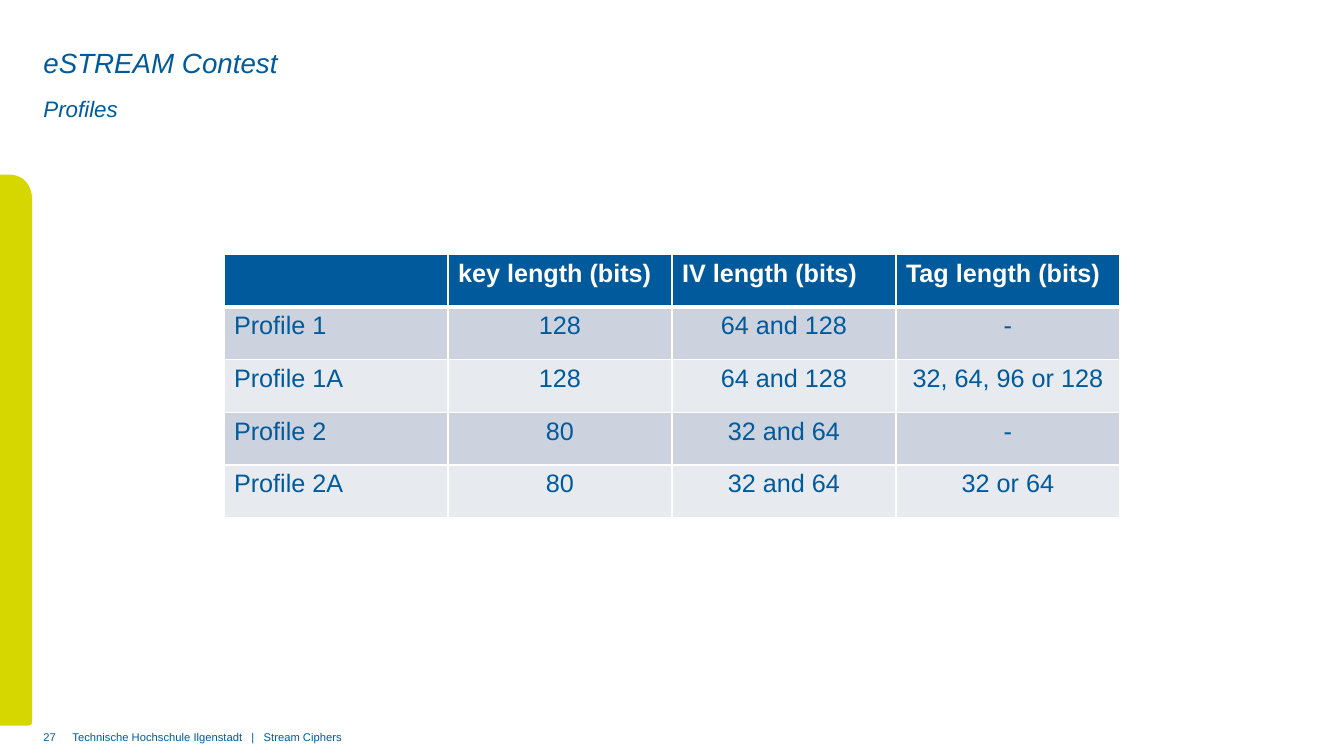
from dataclasses import dataclass, field

from lxml import etree
from pptx import Presentation
from pptx.dml.color import RGBColor
from pptx.enum.text import MSO_ANCHOR, MSO_AUTO_SIZE, PP_ALIGN
from pptx.oxml.ns import qn
from pptx.util import Pt

LEFT, CENTER = PP_ALIGN.LEFT, PP_ALIGN.CENTER
TOP, MIDDLE = MSO_ANCHOR.TOP, MSO_ANCHOR.MIDDLE
FIXED = MSO_AUTO_SIZE.NONE


@dataclass(frozen=True)
class Theme:
    face: str = "Arial"
    blue: str = "005A9B"
    lime: str = "D7D700"
    white: str = "FFFFFF"
    bands: tuple = ("CCD2DE", "E7EAEF")
    title: float = 19.8
    sub: float = 16
    body: float = 18
    foot: float = 8


THEME = Theme()


@dataclass(frozen=True)
class Label:
    text: str
    box: tuple
    size: float
    style: dict = field(default_factory=dict)
    spacing: float = 1.0
    anchor: int = TOP
    tabs: tuple = ()


TITLE = Label("eSTREAM Contest", (31, 31.7, 768, 26), THEME.title,
              {"italic": True}, anchor=MIDDLE)
LABELS = (
    Label("Profiles", (31, 58.3, 768, 26.6), THEME.sub, {"italic": True}, 1.5),
    Label("27", (31, 522, 20, 16.5), THEME.foot),
    Label("Technische Hochschule Ilgenstadt\t|\tStream Ciphers",
          (51.8, 522, 645, 16.5), THEME.foot, tabs=(127.8, 136.6)),
)

ROWS = (
    ("", "key length (bits)", "IV length (bits)", "Tag length (bits)"),
    ("Profile 1", "128", "64 and 128", "-"),
    ("Profile 1A", "128", "64 and 128", "32, 64, 96 or 128"),
    ("Profile 2", "80", "32 and 64", "-"),
    ("Profile 2A", "80", "32 and 64", "32 or 64"),
)
TABLE_LEFT, TABLE_TOP, COL_WIDTH, ROW_HEIGHT = 160, 181.5, 160, 37.7


def style_font(font, size: float, color: str, extra: dict) -> None:
    for name, value in {"name": THEME.face, "size": Pt(size), **extra}.items():
        setattr(font, name, value)
    font.color.rgb = RGBColor.from_string(color)


def fill_label(shape, label: Label) -> None:
    shape.left, shape.top, shape.width, shape.height = map(Pt, label.box)
    frame = shape.text_frame
    layout = {"word_wrap": True, "auto_size": FIXED,
              "vertical_anchor": label.anchor, "margin_left": 0,
              "margin_top": 0, "margin_right": 0, "margin_bottom": 0}
    for name, value in layout.items():
        setattr(frame, name, value)
    para = frame.paragraphs[0]
    para.text = label.text
    para.alignment, para.line_spacing = LEFT, label.spacing
    for run in para.runs:
        style_font(run.font, label.size, THEME.blue, label.style)
    if label.tabs:
        props = para._p.get_or_add_pPr()
        stops = etree.SubElement(props, qn("a:tabLst"))
        for stop in label.tabs:
            etree.SubElement(stops, qn("a:tab"), pos=str(Pt(stop)), algn="l")


def round_off(start: tuple, bend: tuple, end: tuple, steps: int = 16) -> list:
    """Points on a cubic curve whose second handle lies on its end."""
    points = []
    for step in range(steps + 1):
        t = step / steps
        a, b = (1 - t) ** 3, 3 * t * (1 - t) ** 2
        points.append(tuple(Pt(a * s + b * m + (1 - a - b) * e)
                            for s, m, e in zip(start, bend, end)))
    return points


def draw_bar(shapes) -> None:
    top, right, base = 124.7, 23, 518.3
    points = round_off((6, top), (right, top), (right, 142))
    points += round_off((right, 515.5), (right, base), (20, base))
    points.append((0, Pt(base)))
    outline = shapes.build_freeform(0, Pt(top), scale=1.0)
    outline.add_line_segments(points, close=True)
    bar = outline.convert_to_shape()
    bar.shadow.inherit = False
    bar.fill.solid()
    bar.fill.fore_color.rgb = RGBColor.from_string(THEME.lime)
    bar.line.fill.background()


def add_borders(cell, row: int) -> None:
    props = cell._tc.get_or_add_tcPr()
    widths = {"L": 1, "R": 1, "T": 3 if row == 1 else 1,
              "B": 3 if row == 0 else 1}
    for place, (side, width) in enumerate(widths.items()):
        line = etree.Element(qn(f"a:ln{side}"), w=str(Pt(width)))
        paint = etree.SubElement(line, qn("a:solidFill"))
        etree.SubElement(paint, qn("a:srgbClr"), val=THEME.white)
        props.insert(place, line)


def draw_table(shapes) -> None:
    count, wide = len(ROWS), len(ROWS[0])
    table = shapes.add_table(count, wide, Pt(TABLE_LEFT), Pt(TABLE_TOP),
                             Pt(COL_WIDTH * wide), Pt(ROW_HEIGHT * count)).table
    table.horz_banding = False
    for column in table.columns:
        column.width = Pt(COL_WIDTH)
    for r, texts in enumerate(ROWS):
        table.rows[r].height = Pt(ROW_HEIGHT)
        head = r == 0
        shade = THEME.blue if head else THEME.bands[(r - 1) % 2]
        color = THEME.white if head else THEME.blue
        for c, text in enumerate(texts):
            cell = table.cell(r, c)
            cell.fill.solid()
            cell.fill.fore_color.rgb = RGBColor.from_string(shade)
            add_borders(cell, r)
            para = cell.text_frame.paragraphs[0]
            para.text = text
            para.alignment = LEFT if head or c == 0 else CENTER
            style_font(para.font, THEME.body, color, {"bold": head})
            for run in para.runs:
                style_font(run.font, THEME.body, color, {"bold": head})


def main() -> None:
    deck = Presentation()
    deck.slide_width, deck.slide_height = Pt(960), Pt(540)
    slide = deck.slides.add_slide(deck.slide_layouts[5])
    shapes = slide.shapes
    draw_bar(shapes)
    fill_label(shapes.title, TITLE)
    for label in LABELS:
        fill_label(shapes.add_textbox(*map(Pt, label.box)), label)
    draw_table(shapes)
    deck.save("out.pptx")


if __name__ == "__main__":
    main()
